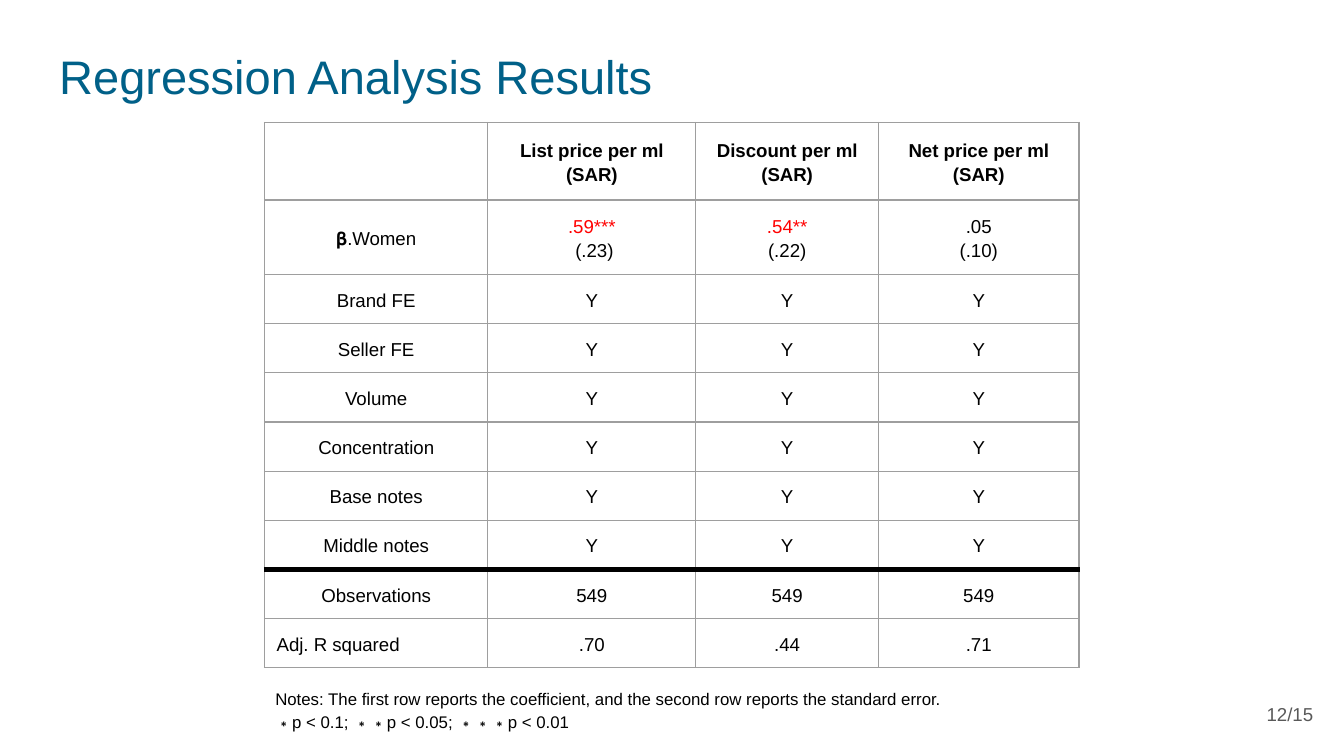
from lxml.etree import SubElement
from pptx import Presentation
from pptx.dml.color import RGBColor as RGB
from pptx.enum.text import MSO_ANCHOR as ANCHOR, MSO_AUTO_SIZE as FIT, PP_ALIGN as ALIGN
from pptx.oxml.ns import qn
from pptx.util import Pt

COLORS = {
    "title": "006088",
    "text": "000000",
    "significant": "FF0000",
    "page": "595959",
    "grid": "9E9E9E",
    "rule": "000000",
}
FONT = "Arial"

COLUMN_WIDTHS = [119.6, 111.5, 97.8, 107.5]
ROW_HEIGHTS = [41.5, 40] + [26.35] * 8
CONTROLS = ["Brand FE", "Seller FE", "Volume", "Concentration", "Base notes", "Middle notes"]
ROWS = [
    ["", "List price per ml (SAR)", "Discount per ml (SAR)", "Net price per ml (SAR)"],
    ["𝛃.Women", ".59***\n (.23)", ".54**\n(.22)", ".05\n(.10)"],
    *[[name, "Y", "Y", "Y"] for name in CONTROLS],
    ["Observations", "549", "549", "549"],
    ["Adj. R squared", ".70", ".44", ".71"],
]
RULE_ROW = ROWS.index(["Observations", "549", "549", "549"])  # heavy line above it
NOTES = [
    "Notes: The first row reports the coefficient, and the second row reports the standard error.",
    "∗p < 0.1; ∗∗p < 0.05; ∗∗∗p < 0.01",
]


def set_font(font, size, color, bold=False):
    for name, value in {"name": FONT, "size": Pt(size), "bold": bold}.items():
        setattr(font, name, value)
    font.color.rgb = RGB.from_string(COLORS[color])


def format_frame(tf, anchor, fit=FIT.NONE):
    values = {"word_wrap": True, "auto_size": fit, "vertical_anchor": anchor}
    values.update({f"margin_{side}": Pt(7.2) for side in ("left", "top", "right", "bottom")})
    for name, value in values.items():
        setattr(tf, name, value)


def add_title(s, text, box):
    sp = s.shapes.title
    sp.left, sp.top, sp.width, sp.height = map(Pt, box)
    format_frame(sp.text_frame, ANCHOR.TOP)
    p = sp.text_frame.paragraphs[0]
    p.alignment = ALIGN.LEFT
    r = p.add_run()
    r.text = text
    set_font(r.font, 25.2, "title")


def add_text(s, lines, box, size, color, align=ALIGN.LEFT, anchor=ANCHOR.TOP,
             spacing=1.0, fit=FIT.NONE):
    tf = s.shapes.add_textbox(*map(Pt, box)).text_frame
    format_frame(tf, anchor, fit)
    for i, line in enumerate(lines):
        p = tf.add_paragraph() if i else tf.paragraphs[0]
        p.alignment, p.line_spacing = align, spacing
        r = p.add_run()
        r.text = line
        set_font(r.font, size, color)


def set_borders(cell, row):
    heavy = {"T": RULE_ROW, "B": RULE_ROW - 1}
    tcPr = cell._tc.get_or_add_tcPr()
    for side in "LRTB":
        color, width = ("rule", 3) if heavy.get(side) == row else ("grid", 0.75)
        ln = SubElement(tcPr, qn(f"a:ln{side}"), w=str(Pt(width)))
        fill = SubElement(ln, qn("a:solidFill"))
        SubElement(fill, qn("a:srgbClr"), val=COLORS[color])


def fill_cell(cell, text, align, bold):
    """Write a cell; lines with significance stars turn red."""
    values = {f"margin_{side}": Pt(6.5) for side in ("left", "top", "right", "bottom")}
    values["vertical_anchor"] = ANCHOR.MIDDLE
    for name, value in values.items():
        setattr(cell, name, value)
    p = cell.text_frame.paragraphs[0]
    for name, value in {"alignment": align, "line_spacing": 1.15, "space_after": Pt(14)}.items():
        setattr(p, name, value)
    if not text:
        return
    for i, line in enumerate(text.split("\n")):
        if i:
            p.add_line_break()
        r = p.add_run()
        r.text = line
        set_font(r.font, 10, "significant" if "*" in line else "text", bold)


def add_results_table(s, left, top):
    frame = s.shapes.add_table(len(ROWS), len(COLUMN_WIDTHS), Pt(left), Pt(top),
                               Pt(sum(COLUMN_WIDTHS)), Pt(sum(ROW_HEIGHTS)))
    table = frame.table
    table.first_row = table.horz_banding = False
    for column, width in zip(table.columns, COLUMN_WIDTHS):
        column.width = Pt(width)
    for i, (values, height) in enumerate(zip(ROWS, ROW_HEIGHTS)):
        table.rows[i].height = Pt(height)
        for j, text in enumerate(values):
            cell = table.cell(i, j)
            align = ALIGN.LEFT if text == "Adj. R squared" else ALIGN.CENTER
            fill_cell(cell, text, align, bold=i == 0)
            set_borders(cell, i)
            cell.fill.background()


def main():
    prs = Presentation()
    prs.slide_width, prs.slide_height = Pt(720), Pt(405)
    s = prs.slides.add_slide(prs.slide_layouts[5])
    add_title(s, "Regression Analysis Results", (24.5, 18, 671, 45.4))
    add_results_table(s, 141.7, 65.6)
    add_text(s, ["12/15"], (667.4, 367.2, 43.2, 31), 10, "page",
             align=ALIGN.RIGHT, anchor=ANCHOR.MIDDLE)
    add_text(s, NOTES, (140.4, 360, 440, 38.2), 9, "text",
             spacing=1.15, fit=FIT.SHAPE_TO_FIT_TEXT)
    prs.save("out.pptx")


if __name__ == "__main__":
    main()
